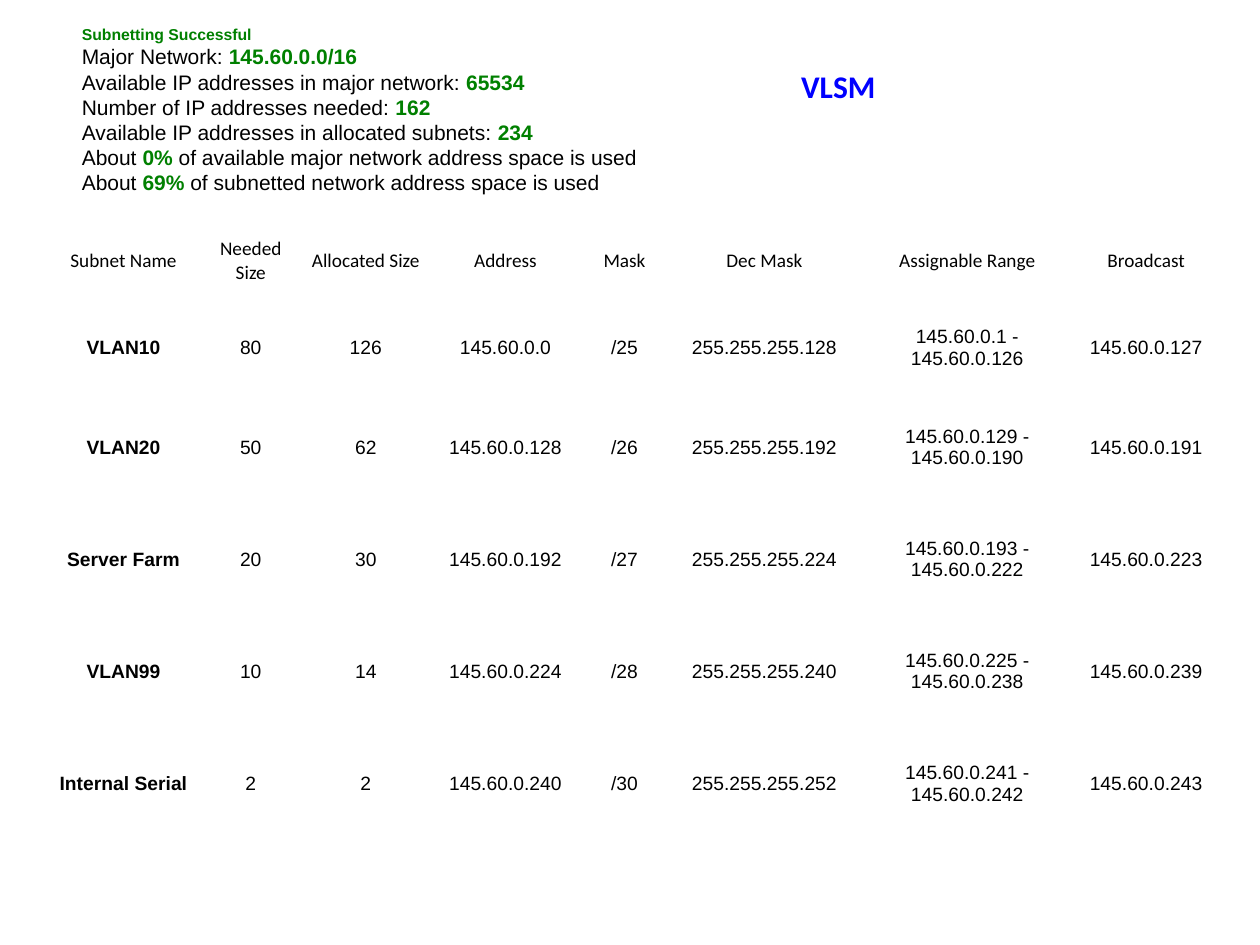
from pptx import Presentation
from pptx.dml.color import RGBColor
from pptx.enum.text import MSO_ANCHOR as Anchor, PP_ALIGN as Align
from pptx.util import Cm, Pt

BLACK = RGBColor(0, 0, 0)
GREEN = RGBColor(0, 128, 0)
BLUE = RGBColor(0, 0, 255)

# Content: summary lines hold label, value and ending
STATUS = "Subnetting Successful"
SUMMARY = [
    ("Major Network: ", "145.60.0.0/16", ""),
    ("Available IP addresses in major network: ", "65534", ""),
    ("Number of IP addresses needed: ", "162", ""),
    ("Available IP addresses in allocated subnets: ", "234", ""),
    ("About ", "0%", " of available major network address space is used"),
    ("About ", "69%", " of subnetted network address space is used"),
]
TITLE = "VLSM"
HEADS = ["Subnet Name", "Needed Size", "Allocated Size", "Address",
         "Mask", "Dec Mask", "Assignable Range", "Broadcast"]
SUBNETS = [
    ("VLAN10", "80", "126", "145.60.0.0", "/25", "255.255.255.128",
     "145.60.0.1 - 145.60.0.126", "145.60.0.127"),
    ("VLAN20", "50", "62", "145.60.0.128", "/26", "255.255.255.192",
     "145.60.0.129 - 145.60.0.190", "145.60.0.191"),
    ("Server Farm", "20", "30", "145.60.0.192", "/27", "255.255.255.224",
     "145.60.0.193 - 145.60.0.222", "145.60.0.223"),
    ("VLAN99", "10", "14", "145.60.0.224", "/28", "255.255.255.240",
     "145.60.0.225 - 145.60.0.238", "145.60.0.239"),
    ("Internal Serial", "2", "2", "145.60.0.240", "/30", "255.255.255.252",
     "145.60.0.241 - 145.60.0.242", "145.60.0.243"),
]
WIDTHS = [3.2, 1.93, 2.71, 2.92, 1.88, 3.76, 4.42, 2.79]
HEIGHTS = [1.75, 1.75] + [2.26] * 4


def style(font, name, size, color, bold=False):
    font.name, font.size, font.bold = name, Pt(size), bold
    font.color.rgb = color


def add_box(slide, *place):
    frame = slide.shapes.add_textbox(*map(Cm, place)).text_frame
    frame.word_wrap = False
    return frame


def add_summary(slide):
    frame = add_box(slide, 1.4, 0.38, 14, 3.7)
    head = frame.paragraphs[0]
    head.text = STATUS
    style(head.font, "Arial", 9, GREEN, True)
    for parts in SUMMARY:
        line = frame.add_paragraph()
        line.line_spacing = Pt(14.4)
        style(line.font, "Arial", 12, BLACK)
        for part in filter(None, parts):
            run = line.add_run()
            run.text = part
            if part == parts[1]:
                run.font.bold = True
                run.font.color.rgb = GREEN


def add_subnets(slide):
    rows = [HEADS] + SUBNETS
    table = slide.shapes.add_table(
        len(rows), len(HEADS), Cm(0.89), Cm(4.39),
        Cm(sum(WIDTHS)), Cm(sum(HEIGHTS))).table
    table.first_row = table.horz_banding = False
    for col, width in zip(table.columns, WIDTHS):
        col.width = Cm(width)
    for r, row in enumerate(rows):
        table.rows[r].height = Cm(HEIGHTS[r])
        for c, text in enumerate(row):
            cell = table.cell(r, c)
            cell.fill.background()
            cell.vertical_anchor = Anchor.MIDDLE
            cell.text = text
            para = cell.text_frame.paragraphs[0]
            para.alignment = Align.CENTER
            style(para.font, "Arial" if r else "Calibri", 11, BLACK,
                  r > 0 and c == 0)


def main():
    prs = Presentation()
    prs.slide_width, prs.slide_height = Cm(25.4), Cm(19.05)
    slide = prs.slides.add_slide(prs.slide_layouts[6])
    add_subnets(slide)
    add_summary(slide)
    # Title
    title = add_box(slide, 15.9, 1.22, 2.03, 1.02).paragraphs[0]
    title.text = TITLE
    style(title.font, "Calibri", 18, BLUE, True)
    prs.save("out.pptx")


if __name__ == "__main__":
    main()
